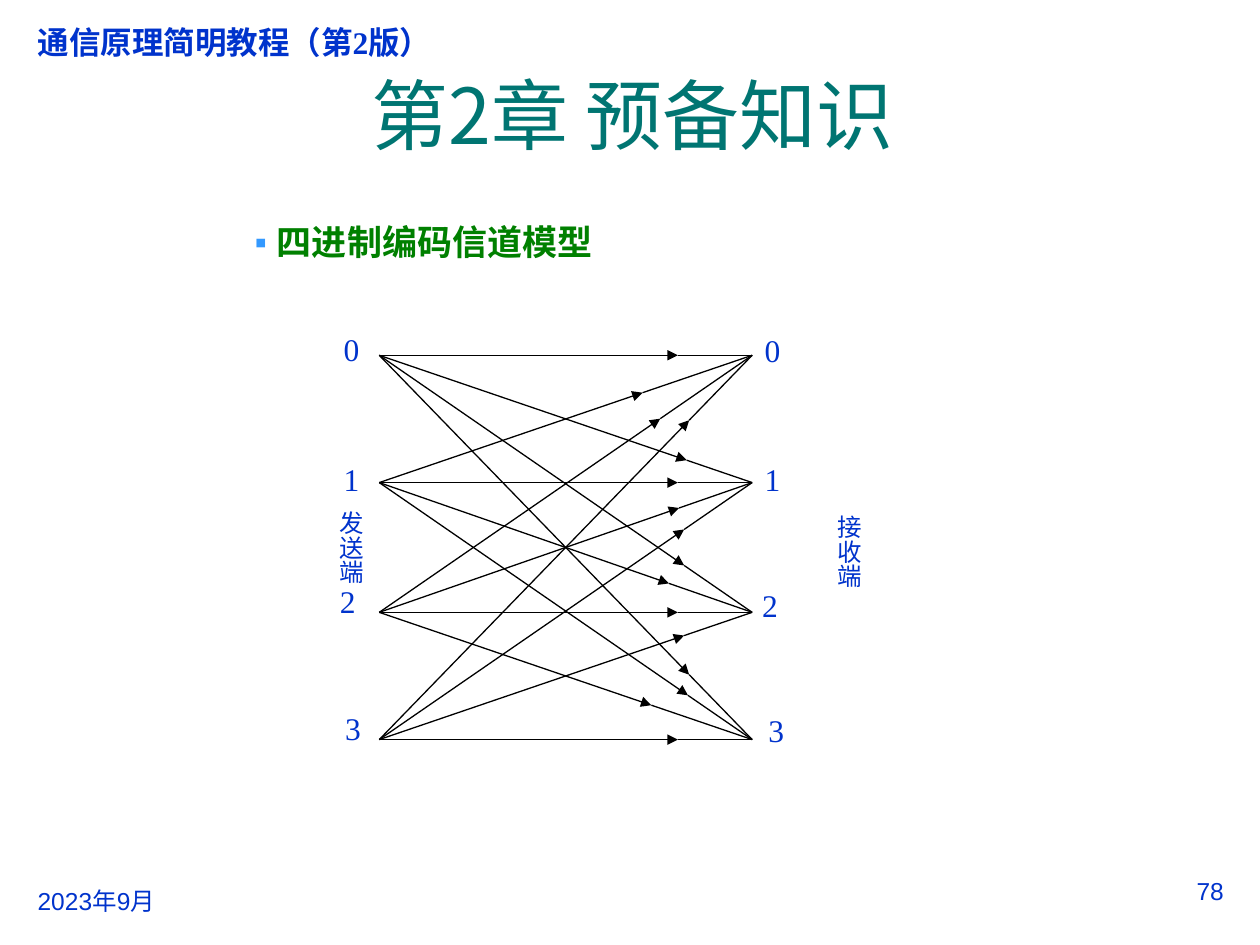
"""Build the quaternary coding channel model slide."""
from dataclasses import dataclass
from itertools import product

from lxml import etree
from pptx import Presentation
from pptx.dml.color import RGBColor
from pptx.enum.shapes import MSO_CONNECTOR
from pptx.enum.text import MSO_ANCHOR, PP_ALIGN
from pptx.oxml.ns import qn
from pptx.util import Inches, Pt

STRAIGHT = MSO_CONNECTOR.STRAIGHT
MIDDLE = MSO_ANCHOR.MIDDLE
LEFT, CENTER, JUSTIFY = PP_ALIGN.LEFT, PP_ALIGN.CENTER, PP_ALIGN.JUSTIFY

BLUE = RGBColor(0x00, 0x33, 0xCC)
TEAL = RGBColor(0x00, 0x75, 0x72)
GREEN = RGBColor(0x00, 0x80, 0x00)
BLACK = RGBColor(0x00, 0x00, 0x00)
BULLET_HEX = "3399FF"

SANS, SERIF, CJK = "Arial", "Times New Roman", "Noto Sans CJK SC"

SEND_X, RECEIVE_X = 3.01, 5.97
LEVEL_Y = (2.82, 3.83, 4.86, 5.87)
ARROW_X = (
    (5.38, 5.45, 5.43, 5.47),
    (5.10, 5.38, 5.31, 5.46),
    (5.24, 5.39, 5.38, 5.17),
    (5.47, 5.43, 5.43, 5.38),
)


@dataclass
class Label:
    text: str
    x: float
    y: float
    w: float = 0.47
    h: float = 0.44
    size: int = 18
    font: str = SERIF
    color: RGBColor = BLUE
    bold: bool = False
    align: PP_ALIGN = JUSTIFY
    wrap: bool = True
    vertical: bool = False


HEADER = Label("通信原理简明教程（第", 0.2, 0.13, 3.47, 0.4, font=SANS,
               bold=True, align=LEFT, wrap=False)
HEADING = Label("四进制编码信道模型", 0.35, 1.7, 9.37, 5.43, size=20,
                font=SANS, color=GREEN, bold=True, align=LEFT)
LABELS = (
    Label("2023年9月", 0.2, 6.98, 1.42, 0.33, size=14, font=SANS,
          align=LEFT, wrap=False),
    Label("78", 9.33, 6.9, 0.55, 0.36, size=14, font=SANS, align=CENTER),
    Label("0", 2.63, 2.57), Label("1", 2.63, 3.6),
    Label("2", 2.6, 4.57), Label("3", 2.64, 5.58),
    Label("0", 5.97, 2.58), Label("1", 5.97, 3.6),
    Label("2", 5.95, 4.6), Label("3", 6, 5.59),
    Label("接收端", 6.19, 3.99, 0.71, 0.96, size=14, vertical=True),
    Label("发送端", 2.24, 3.96, 0.71, 0.96, size=14, vertical=True),
)


def add_run(p, text: str, font: str, size: int, color: RGBColor, bold: bool = False) -> None:
    r = p.add_run()
    r.text = text
    for name, value in {"name": font, "size": Pt(size), "bold": bold}.items():
        setattr(r.font, name, value)
    r.font.color.rgb = color
    latin = r.font._element.find(qn("a:latin"))
    ea = etree.Element(qn("a:ea"), typeface=CJK)
    latin.addnext(ea)


def add_label(slide, label: Label):
    sp = slide.shapes.add_textbox(*map(Inches, (label.x, label.y, label.w, label.h)))
    tf = sp.text_frame
    tf.word_wrap = label.wrap
    if label.vertical:
        tf._txBody.bodyPr.set("vert", "eaVert")
    p = tf.paragraphs[0]
    p.alignment = label.align
    add_run(p, label.text, label.font, label.size, label.color, label.bold)
    return p


def add_bullet(p) -> None:
    pPr = p._p.get_or_add_pPr()
    pPr.set("marL", str(Inches(1.75)))
    pPr.set("indent", str(Inches(-0.25)))
    color = etree.SubElement(pPr, qn("a:buClr"))
    etree.SubElement(color, qn("a:srgbClr"), val=BULLET_HEX)
    etree.SubElement(pPr, qn("a:buSzPct"), val="90000")
    etree.SubElement(pPr, qn("a:buFont"), typeface=CJK)
    etree.SubElement(pPr, qn("a:buChar"), char="▪")


def add_line(slide, start: tuple[float, float], end: tuple[float, float],
             arrow: bool = False) -> None:
    sp = slide.shapes.add_connector(STRAIGHT, *map(Inches, start + end))
    sp.line.color.rgb = BLACK
    sp.line.width = Pt(0.75)
    if arrow:
        etree.SubElement(sp.line._get_or_add_ln(), qn("a:tailEnd"), type="triangle")
    etree.SubElement(sp._element.spPr, qn("a:effectLst"))


def add_path(slide, sent: int, received: int) -> None:
    start = (SEND_X, LEVEL_Y[sent])
    end = (RECEIVE_X, LEVEL_Y[received])
    x = ARROW_X[sent][received]
    share = (x - SEND_X) / (RECEIVE_X - SEND_X)
    tip = (x, start[1] + share * (end[1] - start[1]))
    add_line(slide, start, tip, arrow=True)
    add_line(slide, tip, end)


def add_title(slide) -> None:
    sp = slide.shapes.title
    box = {"left": 0.35, "top": 0.28, "width": 9.34, "height": 1.25}
    for name, value in box.items():
        setattr(sp, name, Inches(value))
    tf = sp.text_frame
    tf.vertical_anchor = MIDDLE
    p = tf.paragraphs[0]
    p.alignment = CENTER
    add_run(p, "第2章 预备知识", CJK, 44, TEAL)


def main() -> None:
    prs = Presentation()
    prs.slide_width, prs.slide_height = Inches(10), Inches(7.5)
    slide = prs.slides.add_slide(prs.slide_layouts[5])
    add_title(slide)
    p = add_label(slide, HEADER)
    add_run(p, "2", SERIF, 18, BLUE, True)
    add_run(p, "版）", SANS, 18, BLUE, True)
    add_bullet(add_label(slide, HEADING))
    for sent, received in product(range(len(LEVEL_Y)), repeat=2):
        add_path(slide, sent, received)
    for label in LABELS:
        add_label(slide, label)
    prs.save("out.pptx")


if __name__ == "__main__":
    main()
